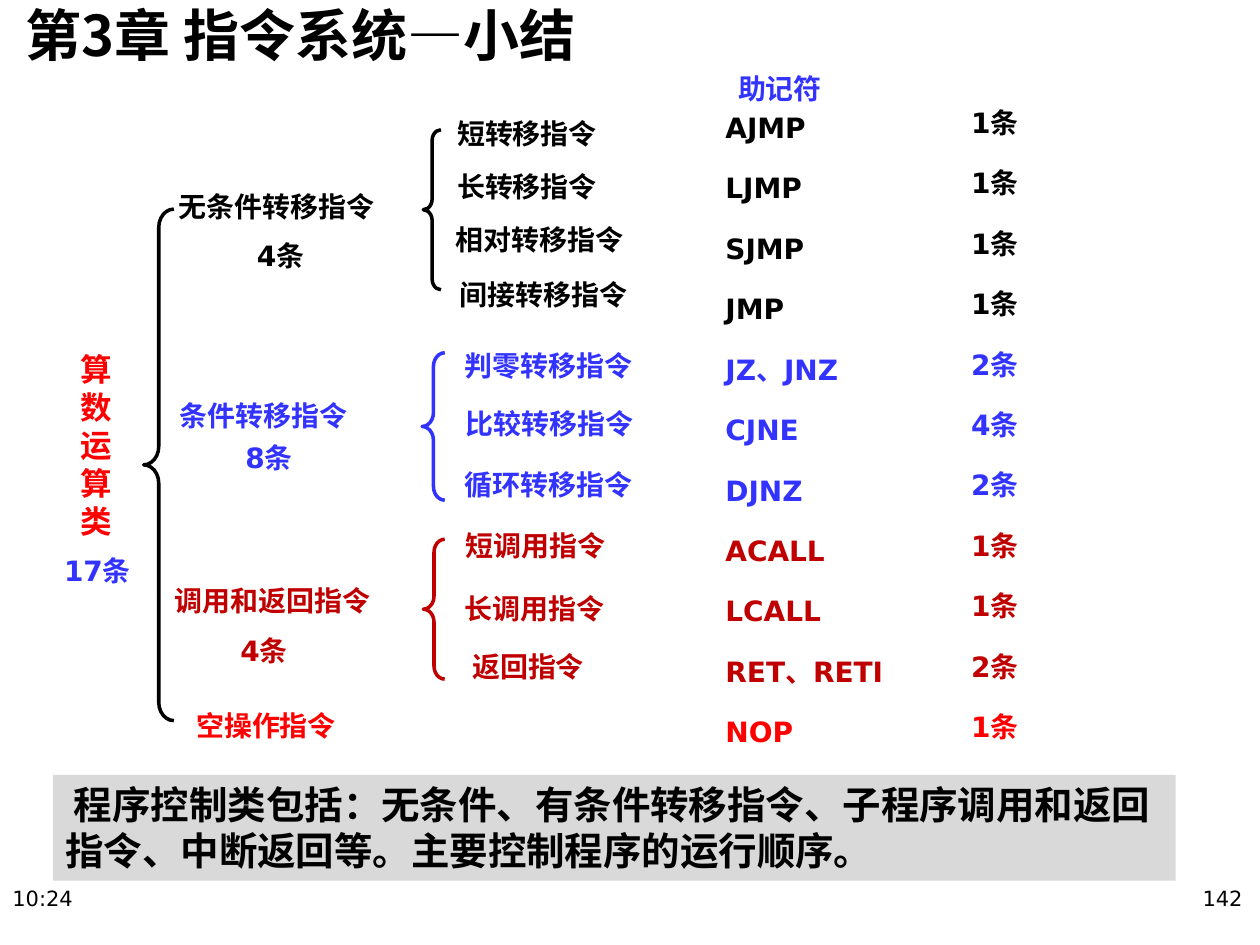
from dataclasses import dataclass

from pptx import Presentation
from pptx.dml.color import RGBColor
from pptx.enum.shapes import MSO_SHAPE as Shape
from pptx.enum.text import MSO_ANCHOR as Anchor, PP_ALIGN as Align
from pptx.oxml.ns import qn
from pptx.util import Inches, Pt


@dataclass(frozen=True)
class Theme:
    sans: str = "DejaVu Sans"
    han: str = "Noto Sans CJK SC"
    serif: str = "Times New Roman"
    black: str = "000000"
    blue: str = "3333FF"
    dark: str = "C00000"
    red: str = "FF0000"
    white: str = "FFFFFF"
    gray: str = "D9D9D9"
    head: int = 32
    note: int = 22
    root: int = 18
    body: int = 16
    foot: int = 12


T = Theme()
ROW = 0.52    # height of a label box
STEP = 0.48   # pitch of the table rows

# Group: colour, name, name place, count, count place, brace box, kinds
# Kind: name, left, top, mnemonic, count
GROUPS = [
    (T.black, "无条件转移指令", (1.32, 1.3), "4条", (1.94, 1.69), (3.36, 1.03, 0.14, 1.27), [
        ("短转移指令", 3.53, 0.72, "AJMP", "1条"),
        ("长转移指令", 3.53, 1.14, "LJMP", "1条"),
        ("相对转移指令", 3.52, 1.56, "SJMP", "1条"),
        ("间接转移指令", 3.55, 2, "JMP", "1条")]),
    (T.blue, "条件转移指令", (1.33, 2.96), "8条", (1.85, 3.29), (3.35, 2.8, 0.18, 1.17), [
        ("判零转移指令", 3.59, 2.56, "JZ、JNZ", "2条"),
        ("比较转移指令", 3.6, 3.02, "CJNE", "4条"),
        ("循环转移指令", 3.59, 3.51, "DJNZ", "2条")]),
    (T.dark, "调用和返回指令", (1.29, 4.43), "4条", (1.81, 4.82), (3.36, 4.28, 0.17, 1.11), [
        ("短调用指令", 3.6, 3.99, "ACALL", "1条"),
        ("长调用指令", 3.59, 4.49, "LCALL", "1条"),
        ("返回指令", 3.65, 4.95, "RET、RETI", "2条")]),
    (T.red, "空操作指令", (1.46, 5.42), None, None, None, [
        (None, None, None, "NOP", "1条")]),
]


def style(run, size, color, font=T.sans, bold=True, east=None):
    run.font.size, run.font.bold, run.font.name = Pt(size), bold, font
    run.font.color.rgb = RGBColor.from_string(color)
    face = run.font._element.makeelement(qn("a:ea"), {"typeface": east or font})
    run.font._element.find(qn("a:latin")).addnext(face)


def label(slide, text, box, color, size=T.body, font=T.sans, bold=True,
          anchor=Anchor.BOTTOM, align=Align.LEFT):
    frame = slide.shapes.add_textbox(*map(Inches, box)).text_frame
    frame.word_wrap = True
    frame.vertical_anchor = anchor
    frame.text = text
    para = frame.paragraphs[0]
    para.alignment = align
    style(para.runs[0], size, color, font, bold)


def brace(slide, box, color, fill=None):
    shape = slide.shapes.add_shape(Shape.LEFT_BRACE, *map(Inches, box))
    shape.shadow.inherit = False
    shape.adjustments[0] = 0.604
    shape.adjustments[1] = 0.5
    if fill:
        shape.fill.solid()
        shape.fill.fore_color.rgb = RGBColor.from_string(fill)
    else:
        shape.fill.background()
    shape.line.color.rgb = RGBColor.from_string(color)
    shape.line.width = Pt(2)


def title(slide, box):
    shape = slide.shapes.title
    shape.left, shape.top, shape.width, shape.height = map(Inches, box)
    frame = shape.text_frame
    frame.margin_left = Inches(0.2)
    frame.margin_top = frame.margin_right = frame.margin_bottom = 0
    frame.vertical_anchor = Anchor.TOP
    frame.text = "第3章 指令系统—小结"
    para = frame.paragraphs[0]
    para.alignment = Align.LEFT
    style(para.runs[0], T.head, T.black, T.han)


def root(slide, left, top):
    label(slide, "算数运算类", (left + 0.13, top, 0.6, 1.74), T.red, T.root)
    label(slide, "17条", (left, top + 1.6, 0.95, ROW), T.blue)
    brace(slide, (left + 0.73, top - 0.93, 0.24, 4.06), T.black)


def tree(slide):
    for color, name, spot, count, where, box, kinds in GROUPS:
        label(slide, name, (*spot, 2.16, ROW), color)
        if count:
            label(slide, count, (*where, 1.1, ROW), color)
            brace(slide, box, color, T.white)
        for kind, left, top, *_ in kinds:
            if kind:
                label(slide, kind, (left, top, 2.16, ROW), color)


def table(slide, left, top):
    # Mnemonic and count columns on one even pitch
    label(slide, "助记符", (left + 0.1, top - 0.15, 1.13, 0.37), T.blue,
          font=T.han, anchor=Anchor.TOP)
    rows = [(group[0], *kind[3:]) for group in GROUPS for kind in group[-1]]
    for i, (color, code, count) in enumerate(rows):
        y = top + i * STEP
        label(slide, code, (left, y, 2.1, ROW), color)
        label(slide, count, (left + 1.95, y - 0.04, 1.1, ROW), color)


def note(slide, box):
    shape = slide.shapes.add_shape(Shape.RECTANGLE, *map(Inches, box))
    shape.shadow.inherit = False
    shape.fill.solid()
    shape.fill.fore_color.rgb = RGBColor.from_string(T.gray)
    shape.line.fill.background()
    frame = shape.text_frame
    frame.word_wrap = True
    frame.vertical_anchor = Anchor.TOP
    frame.text = (" 程序控制类包括：无条件、有条件转移指令、子程序调用和返回指令、"
                  "中断返回等。主要控制程序的运行顺序。")
    para = frame.paragraphs[0]
    para.alignment = Align.LEFT
    style(para.runs[0], T.note, T.black, T.serif, east=T.han)


def footer(slide, top):
    for text, left, align in (("10:24", 0, Align.LEFT), ("142", 7.79, Align.RIGHT)):
        label(slide, text, (left, top, 2.17, ROW), T.black, T.foot,
              bold=False, anchor=Anchor.TOP, align=align)


def main():
    deck = Presentation()
    deck.slide_width, deck.slide_height = Inches(10), Inches(7.5)
    slide = deck.slides.add_slide(deck.slide_layouts[5])
    title(slide, (0, 0, 7.83, 0.78))
    root(slide, 0.41, 2.59)
    tree(slide)
    table(slide, 5.66, 0.67)
    note(slide, (0.42, 6.15, 8.91, 0.84))
    footer(slide, 6.98)
    deck.save("out.pptx")


if __name__ == "__main__":
    main()
